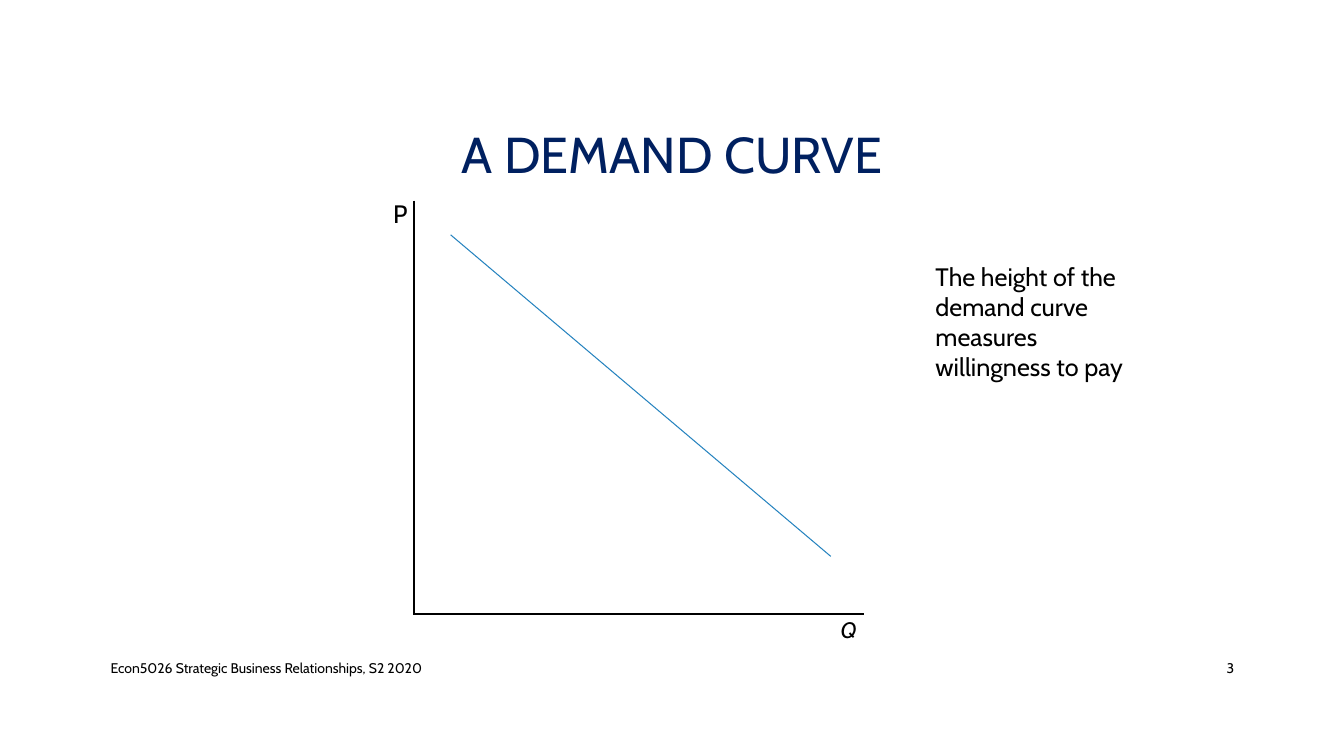
from pptx import Presentation
from pptx.dml.color import RGBColor
from pptx.enum.shapes import MSO_CONNECTOR
from pptx.enum.text import MSO_ANCHOR as Anchor, PP_ALIGN as Align
from pptx.oxml.ns import qn
from pptx.util import Inches, Pt
from lxml import etree

NAVY = RGBColor(0x00, 0x20, 0x60)
BLACK = RGBColor(0x00, 0x00, 0x00)
BLUE = RGBColor(0x26, 0x83, 0xBF)
FONT = "Cabin"
TITLE_ONLY = 5


def write(shape, text, size, color=BLACK, align=Align.LEFT, anchor=Anchor.TOP,
          italic=False):
    frame = shape.text_frame
    frame.text = text
    frame.word_wrap = True
    frame.vertical_anchor = anchor
    para = frame.paragraphs[0]
    para.alignment = align
    font = para.runs[0].font
    font.name, font.size, font.italic = FONT, Pt(size), italic
    font.color.rgb = color


def add_text(slide, box, text, size, **style):
    shape = slide.shapes.add_textbox(*map(Inches, box))
    write(shape, text, size, **style)


def add_line(slide, start, end, color, width):
    line = slide.shapes.add_connector(
        MSO_CONNECTOR.STRAIGHT, *map(Inches, (*start, *end)))
    line.line.color.rgb = color
    line.line.width = Pt(width)
    etree.SubElement(line._element.spPr, qn("a:effectLst"))


def add_title(slide, box):
    title = slide.shapes.title
    title.left, title.top, title.width, title.height = map(Inches, box)
    write(title, "A DEMAND CURVE", 36, color=NAVY, align=Align.CENTER,
          anchor=Anchor.MIDDLE)
    title.text_frame.paragraphs[0].line_spacing = 0.9


def add_demand_graph(slide, box):
    left, top, width, height = box
    right, bottom = left + width, top + height
    # Axes
    add_line(slide, (left, top), (left, bottom), BLACK, 1.5)
    add_line(slide, (left - 0.01, bottom), (right, bottom), BLACK, 1.5)
    # Demand curve
    add_line(slide, (left + 0.36, top + 0.34), (right - 0.33, bottom - 0.57),
             BLUE, 0.75)
    # Axis labels
    add_text(slide, (left - 0.31, top - 0.07, 0.4, 0.4), "P", 18)
    add_text(slide, (right - 0.59, bottom - 0.03, 0.87, 0.37), "Q", 16,
             align=Align.CENTER, italic=True)


def add_footer(slide, box):
    left, top, width, height = box
    number_width = 0.84
    add_text(slide, (left, top, 7.3, height),
             "Econ5026 Strategic Business Relationships, S2 2020", 10,
             anchor=Anchor.MIDDLE)
    add_text(slide, (left + width - number_width, top, number_width, height),
             "3", 10, align=Align.RIGHT, anchor=Anchor.MIDDLE)


def main():
    deck = Presentation()
    deck.slide_width, deck.slide_height = Inches(13.33), Inches(7.5)
    slide = deck.slides.add_slide(deck.slide_layouts[TITLE_ONLY])
    add_title(slide, (1, 0.68, 11.33, 1.75))
    add_demand_graph(slide, (4.11, 1.99, 4.46, 4.1))
    # Explanation beside the graph
    add_text(slide, (9.18, 2.54, 2.39, 1.31),
             "The height of the demand curve measures willingness to pay", 18)
    add_footer(slide, (1, 6.43, 11.34, 0.4))
    deck.save("out.pptx")


if __name__ == "__main__":
    main()
